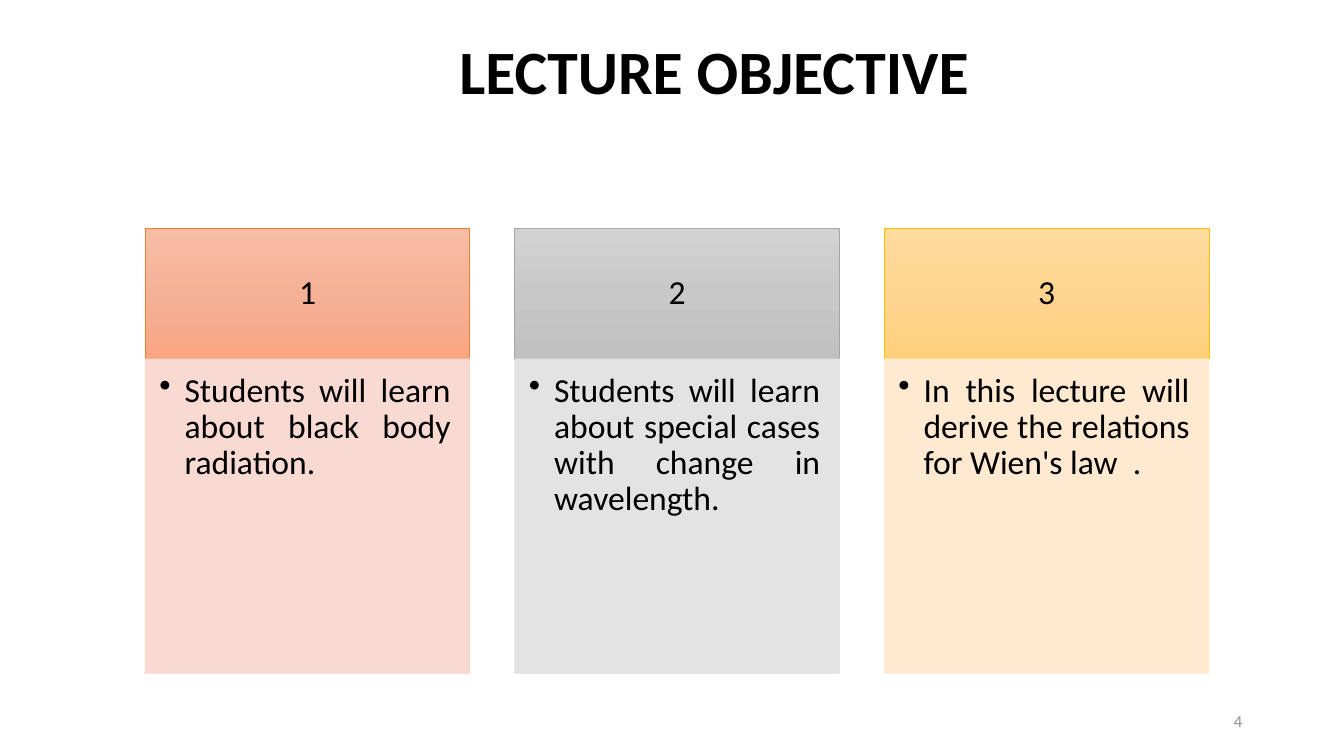
from lxml.etree import SubElement
from pptx import Presentation
from pptx.dml.color import RGBColor
from pptx.enum.shapes import MSO_SHAPE
from pptx.enum.text import MSO_ANCHOR, PP_ALIGN
from pptx.oxml.ns import qn
from pptx.util import Inches, Pt

TITLE = "LECTURE OBJECTIVE"
PAGE = "4"
OBJECTIVES = [
    dict(text="Students will learn about black body radiation.",
         gradient=("F7BDA5", "F5B196", "F8A582"), edge="ED7D31", body="F8D7CE"),
    dict(text="Students will learn about special cases with change in wavelength.",
         gradient=("D2D2D2", "C8C8C8", "C0C0C0"), edge="A5A5A5", body="E1E1E1"),
    dict(text="In this lecture will derive the relations for Wien's law  .",
         gradient=("FFDB9E", "FFD590", "FFD07C"), edge="FFC000", body="FFE8CC"),
]
LEFT, TOP, PITCH = 1.44, 2.27, 3.665
WIDTH, HEAD_H, BODY_H = 3.22, 1.29, 3.12
HEAD_INSETS = (0.19, 0.11, 0.19, 0.11)
BODY_INSETS = (0.14, 0.14, 0.19, 0.21)
TEXT_INSETS = (0.1, 0.05, 0.1, 0.05)
OPACITY = 90


def rgb(value):
    return RGBColor.from_string(value)


def add_bullet(p):
    pPr = p._p.get_or_add_pPr()
    pPr.set("marL", str(Inches(0.25)))
    pPr.set("indent", str(Inches(-0.25)))
    SubElement(pPr, qn("a:buChar"), char="•")


def write(sp, text, size, align, insets, anchor=MSO_ANCHOR.TOP,
          color="000000", bold=False, spacing=1.0, bullet=False):
    tf = sp.text_frame
    tf.word_wrap = True
    tf.vertical_anchor = anchor
    for side, inset in zip(("left", "top", "right", "bottom"), insets):
        setattr(tf, f"margin_{side}", Inches(inset))
    p = tf.paragraphs[0]
    p.alignment = align
    p.line_spacing = spacing
    if bullet:
        add_bullet(p)
    r = p.add_run()
    r.text = text
    for name, value in dict(name="Calibri", size=Pt(size), bold=bold).items():
        setattr(r.font, name, value)
    r.font.color.rgb = rgb(color)


def add_text(s, box, *args, **kwargs):
    write(s.shapes.add_textbox(*map(Inches, box)), *args, **kwargs)


def add_panel(s, top, left, height, edge):
    sp = s.shapes.add_shape(MSO_SHAPE.RECTANGLE, *map(Inches, (left, top, WIDTH, height)))
    sp.shadow.inherit = False
    sp.line.color.rgb = rgb(edge)
    sp.line.width = Pt(0.5)
    return sp


def fill_gradient(sp, colors):
    """Fill from top to bottom with evenly spaced colours."""
    sp.fill.gradient()
    sp.fill.gradient_angle = 270
    stops = sp._element.spPr.find(qn("a:gradFill")).find(qn("a:gsLst"))
    for stop in list(stops):
        stops.remove(stop)
    for i, color in enumerate(colors):
        stop = SubElement(stops, qn("a:gs"), pos=str(100000 * i // (len(colors) - 1)))
        SubElement(stop, qn("a:srgbClr"), val=color)


def fill_translucent(sp, color):
    """Fill with one colour and apply the opacity to fill and outline."""
    sp.fill.solid()
    sp.fill.fore_color.rgb = rgb(color)
    for clr in sp._element.spPr.iter(qn("a:srgbClr")):
        SubElement(clr, qn("a:alpha"), val=str(OPACITY * 1000))


def main():
    prs = Presentation()
    prs.slide_width, prs.slide_height = Inches(13.33), Inches(7.5)
    s = prs.slides.add_slide(prs.slide_layouts[6])

    add_text(s, (9.42, 6.95, 3, 0.4), PAGE, 12, PP_ALIGN.RIGHT, TEXT_INSETS,
             anchor=MSO_ANCHOR.MIDDLE, color="8C8C8C")
    add_text(s, (3.21, 0.28, 7.75, 0.84), TITLE, 44, PP_ALIGN.CENTER, TEXT_INSETS, bold=True)

    for i, objective in enumerate(OBJECTIVES):
        left = LEFT + i * PITCH
        head = add_panel(s, TOP, left, HEAD_H, objective["edge"])
        fill_gradient(head, objective["gradient"])
        write(head, str(i + 1), 24, PP_ALIGN.CENTER, HEAD_INSETS,
              anchor=MSO_ANCHOR.MIDDLE, spacing=0.9)
        body = add_panel(s, TOP + HEAD_H, left, BODY_H, objective["body"])
        fill_translucent(body, objective["body"])
        write(body, objective["text"], 24, PP_ALIGN.JUSTIFY, BODY_INSETS,
              spacing=0.9, bullet=True)

    prs.save("out.pptx")


if __name__ == "__main__":
    main()
